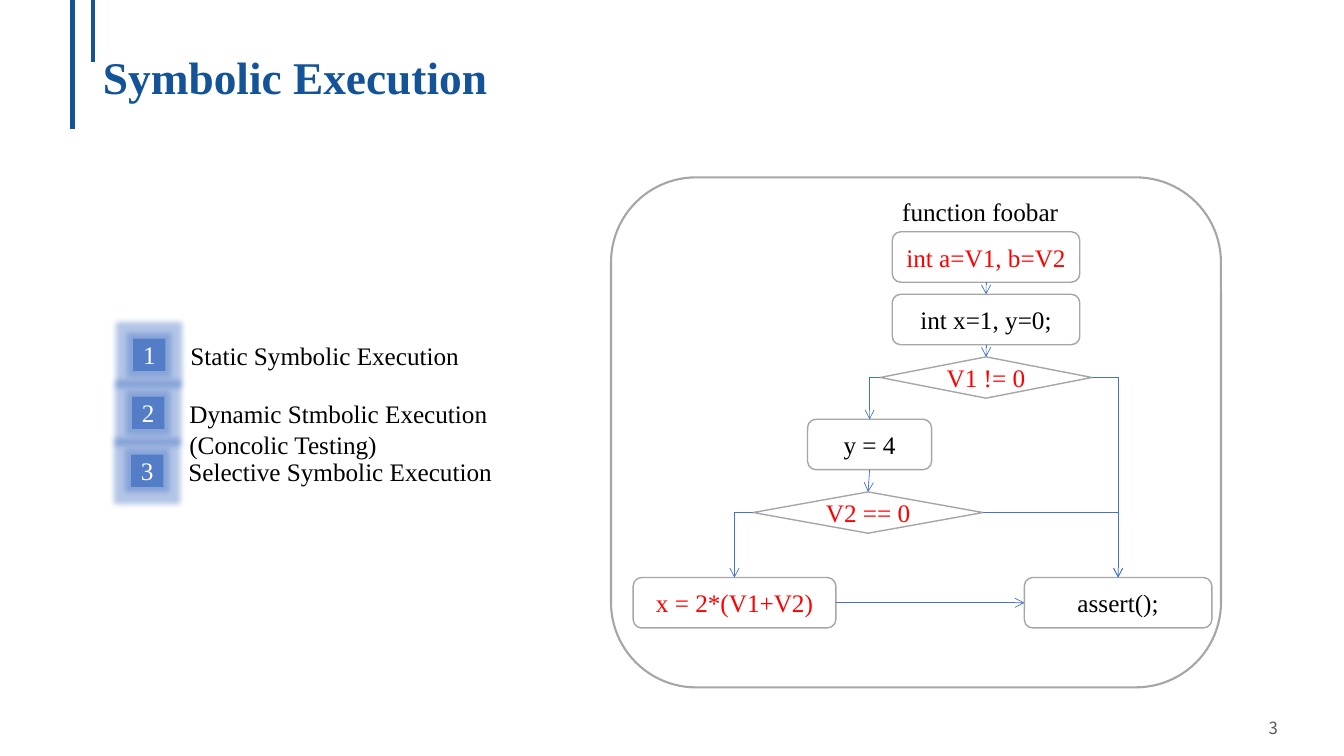
from lxml import etree
from pptx import Presentation
from pptx import util as u
from pptx.dml import color
from pptx.enum import shapes, text
from pptx.oxml import ns

BLUE, ACCENT, GREY = "145397", "4472C4", "A6A6A6"
BLACK, RED, WHITE = "000000", "FF0000", "FFFFFF"
TOP, LEFT, BOTTOM, RIGHT = range(4)


def paint(target, hex_color):
    target.rgb = color.RGBColor.from_string(hex_color)


def child(parent, tag, **attributes):
    return etree.SubElement(parent, ns.qn(tag), attributes)


def write(frame, wording, size=18, font="Times New Roman", ink=BLACK, bold=False,
          align=text.PP_ALIGN.LEFT, anchor=text.MSO_ANCHOR.TOP, spacing=None):
    frame.word_wrap = True
    frame.auto_size = text.MSO_AUTO_SIZE.NONE
    frame.vertical_anchor = anchor
    frame.text = wording
    for paragraph in frame.paragraphs:
        paragraph.alignment = align
        paragraph.line_spacing = spacing
        for run in paragraph.runs:
            run.font.size = u.Pt(size)
            run.font.name = font
            run.font.bold = bold
            paint(run.font.color, ink)
            child(run._r.get_or_add_rPr(), "a:ea", typeface=font)


class SlideBuilder:
    def __init__(self, deck):
        self.slide = deck.slides.add_slide(deck.slide_layouts[5])
        self.shapes = self.slide.shapes

    def title(self, wording, *box):
        holder = self.shapes.title
        holder.left, holder.top, holder.width, holder.height = map(u.Inches, box)
        write(holder.text_frame, wording, size=32.4, ink=BLUE, bold=True,
              anchor=text.MSO_ANCHOR.MIDDLE, spacing=0.9)

    def label(self, wording, *box, **style):
        holder = self.shapes.add_textbox(*map(u.Inches, box))
        write(holder.text_frame, wording, **style)

    def block(self, kind, box, wording="", ink=BLACK, outline=GREY, weight=1, fill=None):
        block = self.shapes.add_shape(kind, *map(u.Inches, box))
        block.shadow.inherit = False
        if fill:
            block.fill.solid()
            paint(block.fill.fore_color, fill)
        else:
            block.fill.background()
        if outline:
            paint(block.line.color, outline)
            block.line.width = u.Pt(weight)
        else:
            block.line.fill.background()
        if wording:
            write(block.text_frame, wording, ink=ink, align=text.PP_ALIGN.CENTER,
                  anchor=text.MSO_ANCHOR.MIDDLE)
        return block

    def badge(self, wording, left, top, side=0.32):
        badge = self.block(shapes.MSO_SHAPE.RECTANGLE, (left, top, side, side), wording,
                           ink=WHITE, outline=None, fill=ACCENT)
        fill_color = badge._element.spPr.find(ns.qn("a:solidFill"))[0]
        child(fill_color, "a:alpha", val="76000")
        effects = badge._element.spPr.find(ns.qn("a:effectLst"))
        glow = child(effects, "a:glow", rad=str(u.Pt(8)))
        child(child(glow, "a:srgbClr", val=ACCENT), "a:alpha", val="40000")

    def line(self, start, end, hue, weight, kind=shapes.MSO_CONNECTOR.STRAIGHT):
        line = self.shapes.add_connector(kind, *map(u.Inches, (*start, *end)))
        paint(line.line.color, hue)
        line.line.width = u.Pt(weight)
        child(line._element.spPr, "a:effectLst")
        return line

    def flow(self, source, source_side, target, target_side, bent=False):
        kind = shapes.MSO_CONNECTOR.ELBOW if bent else shapes.MSO_CONNECTOR.STRAIGHT
        arrow = self.line((0, 0), (1, 1), ACCENT, 0.5, kind)
        arrow.begin_connect(source, source_side)
        arrow.end_connect(target, target_side)
        if bent:
            arrow._element.spPr.find(ns.qn("a:prstGeom")).set("prst", "bentConnector2")
        child(arrow.line._get_or_add_ln(), "a:tailEnd", type="arrow")


def main():
    deck = Presentation()
    deck.slide_width, deck.slide_height = u.Inches(13.33), u.Inches(7.5)
    page = SlideBuilder(deck)

    for x, length in ((0.72, 1.28), (0.92, 0.62)):
        page.line((x, 0), (x, length), BLUE, 3)
    page.title("Symbolic Execution", 0.92, 0.49, 9.24, 0.61)
    page.label("3", 12.18, 7.07, 0.9, 0.3, size=12, font="Noto Sans CJK SC",
               ink="595959", align=text.PP_ALIGN.CENTER)

    rounded, diamond = shapes.MSO_SHAPE.ROUNDED_RECTANGLE, shapes.MSO_SHAPE.DIAMOND
    page.block(rounded, (6.06, 1.76, 6.05, 5.06), weight=1.5)
    page.label("function foobar", 8.85, 1.9, 2.04, 0.4)
    inputs = page.block(rounded, (8.85, 2.3, 1.86, 0.5), "int a=V1, b=V2", RED)
    locals_set = page.block(rounded, (8.85, 2.92, 1.86, 0.5), "int x=1, y=0;")
    first_test = page.block(diamond, (8.73, 3.54, 2.1, 0.41), "V1 != 0", RED)
    y_set = page.block(rounded, (8.01, 4.16, 1.23, 0.5), "y = 4")
    second_test = page.block(diamond, (7.47, 4.88, 2.28, 0.41), "V2 == 0", RED)
    x_set = page.block(rounded, (6.28, 5.73, 2.01, 0.5), "x = 2*(V1+V2)", RED)
    check = page.block(rounded, (10.16, 5.73, 1.86, 0.5), "assert();")

    for source, target in ((inputs, locals_set), (locals_set, first_test), (y_set, second_test)):
        page.flow(source, BOTTOM, target, TOP)
    for test, yes_step in ((first_test, y_set), (second_test, x_set)):
        page.flow(test, LEFT, yes_step, TOP, bent=True)
        page.flow(test, RIGHT, check, TOP, bent=True)
    page.flow(x_set, RIGHT, check, LEFT)

    methods = ("Static Symbolic Execution",
               "Dynamic Stmbolic Execution\n(Concolic Testing)",
               "Selective Symbolic Execution")
    for index, method in enumerate(methods):
        shift, drop = -0.01 * index, 0.575 * index
        page.label(method, 1.79 + shift, 3.33 + drop, 3.57, 0.4 + 0.31 * method.count("\n"))
        page.badge(str(index + 1), 1.32 + shift, 3.36 + drop)

    deck.save("out.pptx")


if __name__ == "__main__":
    main()
